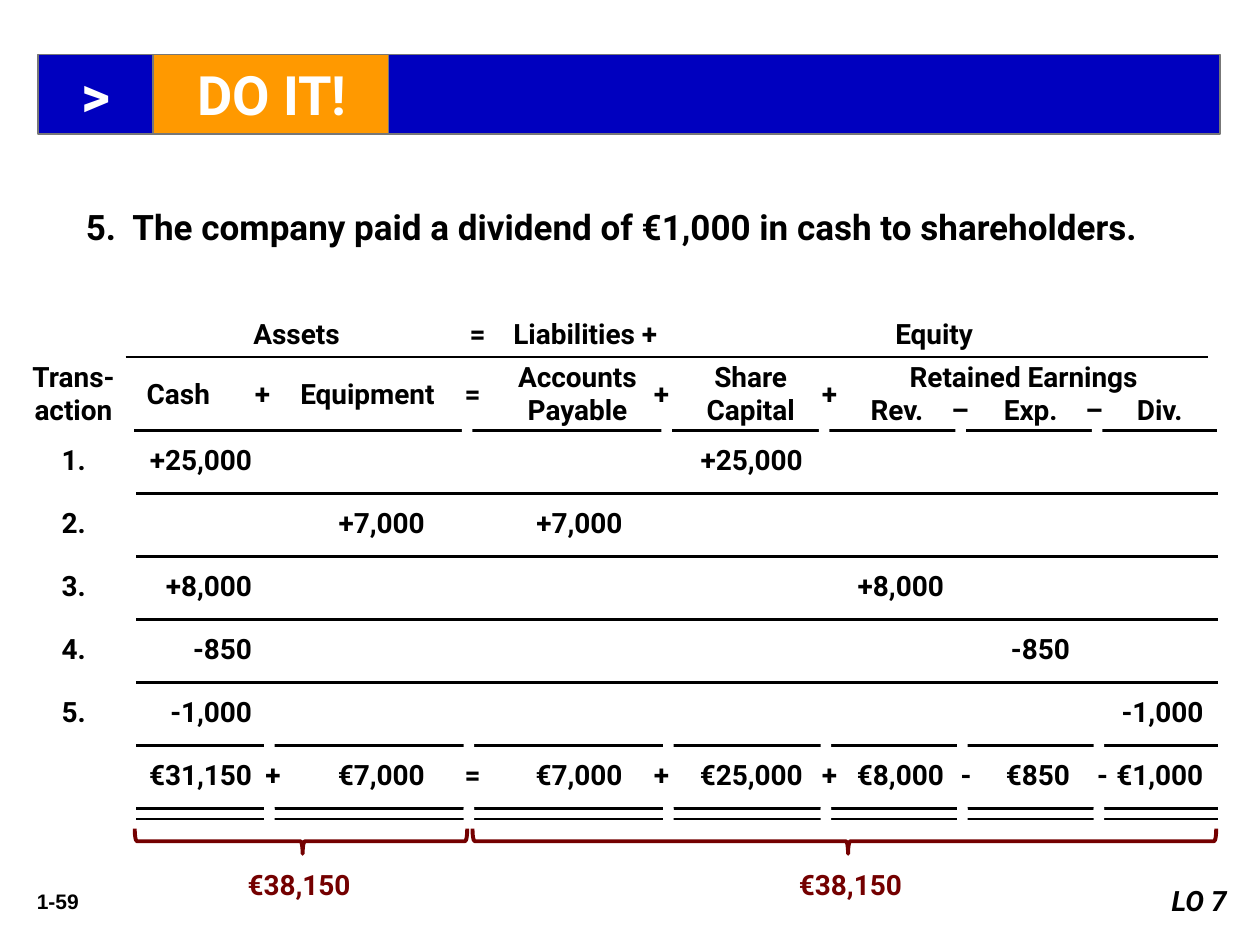
from lxml.etree import SubElement
from pptx import Presentation
from pptx.dml.color import RGBColor
from pptx.enum.shapes import MSO_CONNECTOR, MSO_SHAPE
from pptx.enum.text import MSO_ANCHOR, MSO_AUTO_SIZE, PP_ALIGN
from pptx.oxml.ns import qn
from pptx.util import Pt

COLORS = {"black": "000000", "white": "FFFFFF", "blue": "0000BF",
          "orange": "FF9900", "gray": "777777", "maroon": "740000"}
ALIGN = {"l": PP_ALIGN.LEFT, "ctr": PP_ALIGN.CENTER, "r": PP_ALIGN.RIGHT}

# Content
STATEMENT = "The company paid a dividend of €1,000 in cash to shareholders."
GROUPS = "\tAssets\t=\tLiabilities +\tEquity"
# Heading text, left, width, right inset
HEADINGS = [("Trans-\naction", 6, 72, 7.2), ("Cash", 72, 72, 19.2),
            ("Equipment", 156, 108, 7.2), ("Accounts\nPayable", 276, 108, 7.2),
            ("Share Capital", 378, 102, 7.2)]
RETAINED = "Retained Earnings\n\tRev.\t–\tExp.\t–\tDiv."
# Number, cash, equipment, payable, capital, revenue, expense, dividend
ROWS = [
    ("1.", "+25,000", "", "", "+25,000"),
    ("2.", "", "+7,000", "+7,000"),
    ("3.", "+8,000", "", "", "", "+8,000"),
    ("4.", "-850", "", "", "", "", "-850"),
    ("5.", "-1,000", "", "", "", "", "", "-1,000"),
    ("", "€31,150", "€7,000", "€7,000", "€25,000", "€8,000", "€850", "€1,000"),
]
# Operator, left
HEAD_SIGNS = [("+", 144), ("=", 264), ("+", 372), ("+", 468)]
TOTAL_SIGNS = [("+", 150), ("=", 264), ("+", 372), ("+", 468), ("-", 546), ("-", 624)]
# Brace left, brace width, total, label left, label width
BRACES = [(77, 190, "€38,150", 120, 102), (270, 425, "€38,150", 432, 108)]

# Table geometry
LEFT, RIGHT, GAP = 77.75, 696.25, 6
GAPS = [151, 265, 379, 469, 547, 625]
HEAD_TOP, HEAD_HEIGHT, HEAD_RULE = 204, 41, 246
ROW_TOP, ROW_STEP, ROW_RULE = 252.7, 36, 282
ROW_TABS = [(x, "r") for x in (18, 113, 211.7, 324.7, 427.7, 508.3, 580.3, 656.6)]
GROUP_TABS = [(x, "ctr") for x in (90.4, 193.9, 255.4, 454.7)]
RETAINED_TABS = [(x, "ctr") for x in (38.6, 74.7, 115, 151.3, 188.7)]

prs = Presentation()
prs.slide_width, prs.slide_height = Pt(720), Pt(540)
slide = prs.slides.add_slide(prs.slide_layouts[5])
shapes = slide.shapes


def rgb(name):
    return RGBColor.from_string(COLORS[name])


def add_text(text, x, y, w, h, sp=None, size=16, color="black", font="Roboto",
             italic=False, align="l", anchor=MSO_ANCHOR.TOP, insets=(7.2, 3.6, 7.2, 3.6),
             tabs=(), indent=None, number=None, spacing=None):
    sp = sp or shapes.add_textbox(0, 0, 0, 0)
    sp.left, sp.top, sp.width, sp.height = Pt(x), Pt(y), Pt(w), Pt(h)
    tf = sp.text_frame
    tf.word_wrap, tf.auto_size, tf.vertical_anchor = True, MSO_AUTO_SIZE.NONE, anchor
    tf.margin_left, tf.margin_top, tf.margin_right, tf.margin_bottom = map(Pt, insets)
    for i, line in enumerate(text.split("\n")):
        p = tf.paragraphs[0] if i == 0 else tf.add_paragraph()
        # Tabbed lines are placed by their stops
        p.alignment = ALIGN["l" if "\t" in line else align]
        if spacing:
            p.line_spacing = spacing
        pPr = p._p.get_or_add_pPr()
        if indent:
            pPr.set("marL", str(Pt(indent[0])))
            pPr.set("indent", str(Pt(indent[1])))
        if number:
            SubElement(pPr, qn("a:buAutoNum"), type="arabicPeriod", startAt=str(number))
        if tabs and "\t" in line:
            stops = SubElement(pPr, qn("a:tabLst"))
            for pos, kind in tabs:
                SubElement(stops, qn("a:tab"), pos=str(Pt(pos)), algn=kind)
        r = p.add_run()
        r.text = line
        r.font.name, r.font.size = font, Pt(size)
        r.font.bold, r.font.italic = True, italic
        r.font.color.rgb = rgb(color)
    return sp


def paint(sp, fill, line=None):
    sp.fill.solid()
    sp.fill.fore_color.rgb = rgb(fill)
    if line:
        sp.line.color.rgb = rgb(line)
        sp.line.width = Pt(1)
    else:
        sp.line.fill.background()


def add_rect(x, y, w, h, fill, line=None):
    sp = shapes.add_shape(MSO_SHAPE.RECTANGLE, Pt(x), Pt(y), Pt(w), Pt(h))
    sp.shadow.inherit = False
    paint(sp, fill, line)
    return sp


def add_rule(x1, x2, y, gaps=()):
    line = shapes.add_connector(MSO_CONNECTOR.STRAIGHT, Pt(x1), Pt(y), Pt(x2), Pt(y))
    line.line.color.rgb = rgb("black")
    line.line.width = Pt(1.5)
    SubElement(line._element.spPr, qn("a:effectLst"))
    # White gaps part the columns
    for x in gaps:
        add_rect(x, y - GAP, GAP, 2 * GAP, "white")


def add_signs(signs, y, top_inset):
    for sign, x in signs:
        add_text(sign, x, y, 12, HEAD_HEIGHT, align="ctr", anchor=MSO_ANCHOR.MIDDLE,
                 insets=(0, top_inset, 0, 3.6))


# Banner, with the title above the blue bar
banner = dict(color="white", insets=(7.2, 3.6, 7.2, 3.6), indent=(18, 0))
bar = add_rect(21.6, 31.2, 675.4, 45.4, "blue", "gray")
add_text(">", 21.6, 31.2, 675.4, 45.4, sp=bar, size=32, anchor=MSO_ANCHOR.MIDDLE, **banner)
title = shapes.title
add_text("DO IT!", 87.4, 31.2, 134.6, 45.4, sp=title, size=31, **banner)
paint(title, "orange", "gray")
bar._element.addnext(title._element)

# Transaction statement
add_text(STATEMENT, 42, 108, 661, 37.4, size=20, indent=(26.6, -26.6), number=5, spacing=1.25)

# Table headings
add_text(GROUPS, 72, 180, 624, 21, anchor=MSO_ANCHOR.MIDDLE, tabs=GROUP_TABS)
add_rule(71.75, 690.25, HEAD_TOP)
for text, x, w, right in HEADINGS:
    add_text(text, x, HEAD_TOP, w, HEAD_HEIGHT, align="ctr", anchor=MSO_ANCHOR.MIDDLE,
             insets=(7.2, 3.6, right, 3.6))
add_text(RETAINED, 474, HEAD_TOP, 222, HEAD_HEIGHT, align="ctr", anchor=MSO_ANCHOR.MIDDLE,
         insets=(0, 3.6, 0, 3.6), tabs=RETAINED_TABS)
add_signs(HEAD_SIGNS, HEAD_TOP, 3.6)
add_rule(LEFT - 1, RIGHT - 1, HEAD_RULE, [x - 1 for x in GAPS[1:]])

# Transactions and totals, with parted rules around the totals
for i, row in enumerate(ROWS):
    add_rule(LEFT, RIGHT, ROW_RULE + i * ROW_STEP, GAPS if i >= len(ROWS) - 2 else ())
    add_text("\t" + "\t".join(row), 24, ROW_TOP + i * ROW_STEP, 684, 23,
             insets=(7.2, 0, 7.2, 3.6), tabs=ROW_TABS)
add_rule(LEFT, RIGHT, 468, GAPS)
add_signs(TOTAL_SIGNS, 420, 7.2)

# Braces and balancing totals
for x, length, total, label_x, label_w in BRACES:
    depth, middle = 14.4, 480.7
    brace = shapes.add_shape(MSO_SHAPE.LEFT_BRACE, Pt(x + (length - depth) / 2),
                             Pt(middle - length / 2), Pt(depth), Pt(length))
    brace.rotation = 270
    brace.adjustments[0], brace.adjustments[1] = 0.083, 0.505
    brace.shadow.inherit = False
    brace.fill.background()
    brace.line.color.rgb = rgb("maroon")
    brace.line.width = Pt(2.25)
    add_text(total, label_x, 492, label_w, 26.6, color="maroon", align="ctr")

# Footer
add_text("1-59", 6, 504, 54, 21.6, size=12, font="Arial", align="ctr")
objective = add_rect(648, 501.6, 60, 26.6, "white")
add_text("LO 7", 648, 501.6, 60, 26.6, sp=objective, italic=True, align="r")

prs.save("out.pptx")
